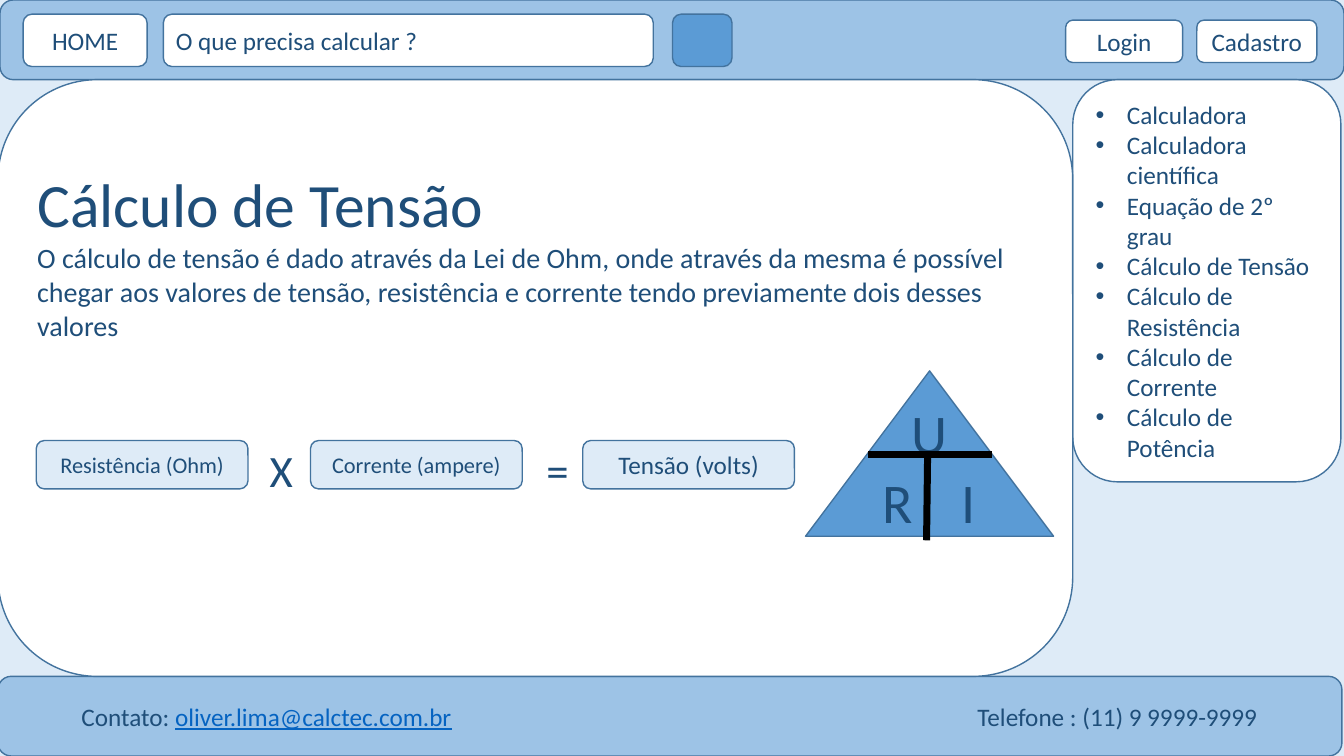
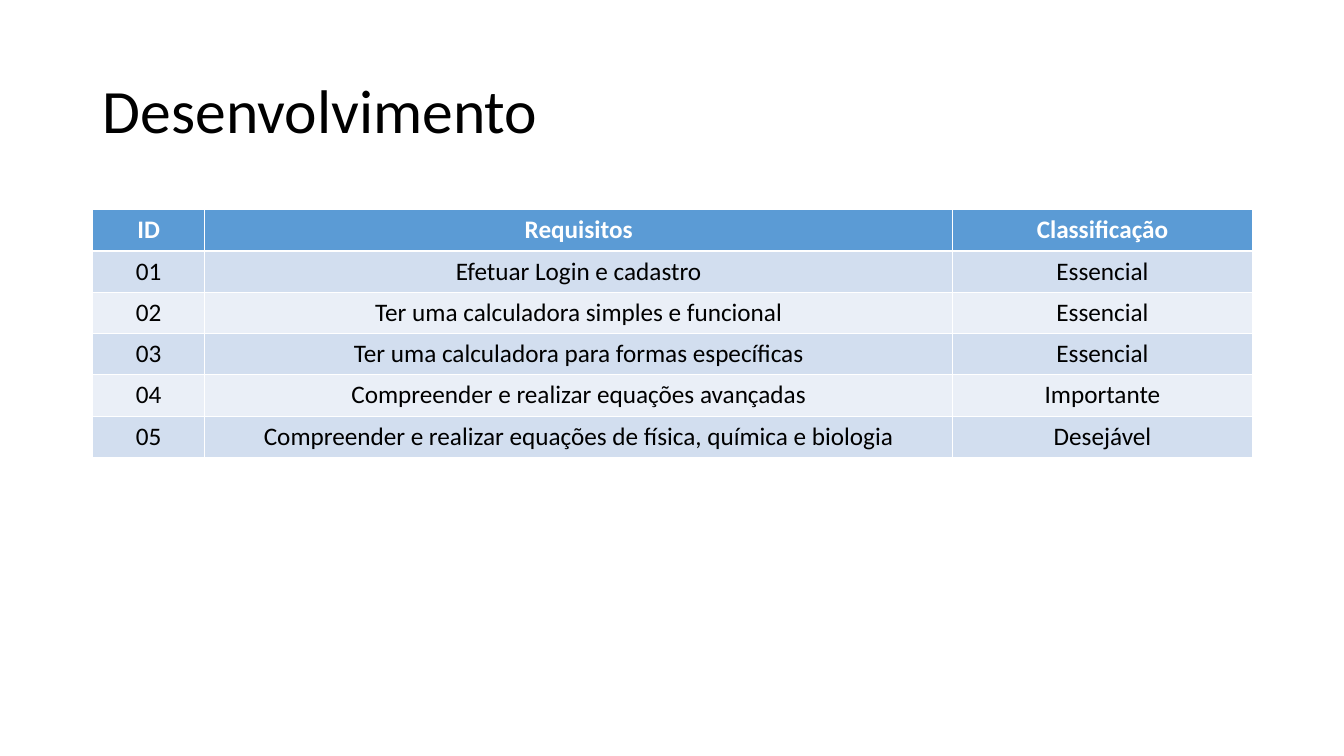
from lxml import etree
from pptx import Presentation
from pptx.dml.color import RGBColor
from pptx.enum.shapes import MSO_CONNECTOR, MSO_SHAPE
from pptx.enum.text import MSO_ANCHOR, PP_ALIGN
from pptx.oxml.ns import qn
from pptx.util import Inches, Pt

LEFT, CENTER, RIGHT = PP_ALIGN.LEFT, PP_ALIGN.CENTER, PP_ALIGN.RIGHT
MIDDLE = MSO_ANCHOR.MIDDLE
ROUNDED, TRIANGLE = MSO_SHAPE.ROUNDED_RECTANGLE, MSO_SHAPE.ISOSCELES_TRIANGLE
STRAIGHT = MSO_CONNECTOR.STRAIGHT
TITLE_ONLY = 5

FONT = "Calibri"
WHITE, BLACK = "FFFFFF", "000000"
NAVY, OUTLINE, LINK = "1F4E79", "43739E", "0563C1"
BLUE, BAND, PALE = "5B9BD5", "9DC3E6", "DEEBF7"
ROW_FILLS = ("D2DEEF", "EAEFF7")

MENU = ["Calculadora", "Calculadora científica", "Equação de 2º grau",
        "Cálculo de Tensão", "Cálculo de Resistência",
        "Cálculo de Corrente", "Cálculo de Potência"]
REQUIREMENTS = [
    ("ID", "Requisitos", "Classificação"),
    ("01", "Efetuar Login e cadastro", "Essencial"),
    ("02", "Ter uma calculadora simples e funcional", "Essencial"),
    ("03", "Ter uma calculadora para formas específicas", "Essencial"),
    ("04", "Compreender e realizar equações avançadas", "Importante"),
    ("05", "Compreender e realizar equações de física, química e biologia",
     "Desejável"),
]


def rgb(color):
    return RGBColor.from_string(color)


class Deck:
    def __init__(self):
        self.prs = Presentation()
        self.prs.slide_width = Inches(13.33)
        self.prs.slide_height = Inches(7.5)
        self.s = None

    def slide(self, background):
        layout = self.prs.slide_layouts[TITLE_ONLY]
        self.s = self.prs.slides.add_slide(layout)
        fill = self.s.background.fill
        fill.solid()
        fill.fore_color.rgb = rgb(background)

    def style(self, p, size, color, align, bold=False):
        p.alignment = align
        p.font.name = FONT
        p.font.size = Pt(size)
        p.font.color.rgb = rgb(color)
        p.font.bold = bold

    def set_text(self, tf, lines, size=18, color=NAVY, align=CENTER):
        tf.word_wrap = True
        tf.vertical_anchor = MIDDLE
        tf.text = "\n".join(lines)
        for p in tf.paragraphs:
            self.style(p, size, color, align)

    def title(self, text, x, y, w, h, color, spacing):
        sp = self.s.shapes.title
        sp.left, sp.top = Inches(x), Inches(y)
        sp.width, sp.height = Inches(w), Inches(h)
        self.set_text(sp.text_frame, [text], 44, color, LEFT)
        sp.text_frame.paragraphs[0].line_spacing = spacing
        sp.element.getparent().append(sp.element)

    def shape(self, x, y, w, h, fill, lines=(), size=18, align=CENTER,
              kind=ROUNDED):
        sp = self.s.shapes.add_shape(
            kind, Inches(x), Inches(y), Inches(w), Inches(h))
        sp.shadow.inherit = False
        sp.fill.solid()
        sp.fill.fore_color.rgb = rgb(fill)
        sp.line.color.rgb = rgb(OUTLINE)
        sp.line.width = Pt(1)
        if lines:
            self.set_text(sp.text_frame, lines, size, align=align)
        return sp

    def text(self, text, x, y, w, h, size=18, align=CENTER):
        sp = self.s.shapes.add_textbox(
            Inches(x), Inches(y), Inches(w), Inches(h))
        self.set_text(sp.text_frame, [text], size, align=align)
        return sp.text_frame

    def bullets(self, tf, indent=0.31):
        for p in tf.paragraphs:
            pPr = p._p.get_or_add_pPr()
            pPr.set("marL", str(Inches(indent)))
            pPr.set("indent", str(-Inches(indent)))
            font = etree.Element(qn("a:buFont"), typeface="Arial")
            char = etree.Element(qn("a:buChar"), char="•")
            defaults = pPr.find(qn("a:defRPr"))
            defaults.addprevious(font)
            defaults.addprevious(char)

    def line(self, x1, y1, x2, y2):
        c = self.s.shapes.add_connector(
            STRAIGHT, Inches(x1), Inches(y1), Inches(x2), Inches(y2))
        c.line.color.rgb = rgb(BLACK)
        c.line.width = Pt(5)
        etree.SubElement(c._element.spPr, qn("a:effectLst"))

    def table(self, rows, widths, x, y, row_height):
        frame = self.s.shapes.add_table(
            len(rows), len(widths), Inches(x), Inches(y),
            Inches(sum(widths)), Inches(row_height * len(rows)))
        table = frame.table
        for column, width in zip(table.columns, widths):
            column.width = Inches(width)
        for i, values in enumerate(rows):
            header = i == 0
            for j, value in enumerate(values):
                cell = table.cell(i, j)
                cell.text = value
                cell.fill.solid()
                cell.fill.fore_color.rgb = rgb(
                    BLUE if header else ROW_FILLS[(i - 1) % 2])
                self.style(cell.text_frame.paragraphs[0], 18,
                           WHITE if header else BLACK, CENTER, header)


def voltage_page(d):
    d.slide(PALE)
    d.shape(0, 0, 13.33, 0.79, BAND)
    d.shape(0.23, 0.14, 1.23, 0.52, WHITE, ["HOME"])
    d.shape(1.62, 0.14, 4.86, 0.52, WHITE, ["O que precisa calcular ?"],
            align=LEFT)
    d.shape(6.67, 0.14, 0.59, 0.52, BLUE)
    d.shape(10.57, 0.2, 1.16, 0.42, WHITE, ["Login"])
    d.shape(11.87, 0.2, 1.19, 0.42, WHITE, ["Cadastro"])

    d.shape(-0.02, 6.71, 13.33, 0.79, BAND)
    tf = d.text("Contato: ", 0.71, 6.71, 5, 0.79, align=LEFT)
    r = tf.paragraphs[0].add_run()
    r.text = "oliver.lima@calctec.com.br"
    r.font.underline = True
    r.font.color.rgb = rgb(LINK)
    d.text("Telefone : (11) 9 9999-9999", 8.57, 6.71, 4, 0.79, align=RIGHT)

    menu = d.shape(10.64, 0.79, 2.66, 3.99, WHITE, MENU, align=LEFT)
    d.bullets(menu.text_frame)

    d.shape(-0.02, 0.79, 10.66, 5.92, WHITE)
    d.title("Cálculo de Tensão", 0.27, 1.59, 10.08, 0.85, NAVY, 1.0)
    d.text("O cálculo de tensão é dado através da Lei de Ohm, onde através da "
           "mesma é possível chegar aos valores de tensão, resistência e "
           "corrente tendo previamente dois desses valores",
           0.27, 2.33, 10.08, 1.12, 20, LEFT)

    for label, x, size in (("Resistência (Ohm)", 0.36, 16),
                           ("Corrente (ampere)", 3.08, 16),
                           ("Tensão (volts)", 5.78, 18)):
        d.shape(x, 4.37, 2.1, 0.48, PALE, [label], size)
    for sign, x in (("X", 2.79), ("=", 5.53)):
        d.text(sign, x - 0.3, 4.34, 0.6, 0.64, 32)

    d.shape(7.99, 3.68, 2.46, 1.64, BLUE, kind=TRIANGLE)
    for letter, x, y in (("U", 9.22, 3.9), ("R", 8.9, 4.58), ("I", 9.61, 4.58)):
        d.text(letter, x - 0.35, y, 0.7, 0.78, 40)
    d.line(8.61, 4.51, 9.84, 4.51)
    d.line(9.2, 4.52, 9.19, 5.36)


def requirements_page(d):
    d.slide(WHITE)
    d.title("Desenvolvimento", 0.92, 0.4, 11.5, 1.45, BLACK, 0.9)
    d.table(REQUIREMENTS, (1.11, 7.42, 2.97), 0.92, 2.08, 0.41)


def main():
    d = Deck()
    voltage_page(d)
    requirements_page(d)
    d.prs.save("out.pptx")


if __name__ == "__main__":
    main()
